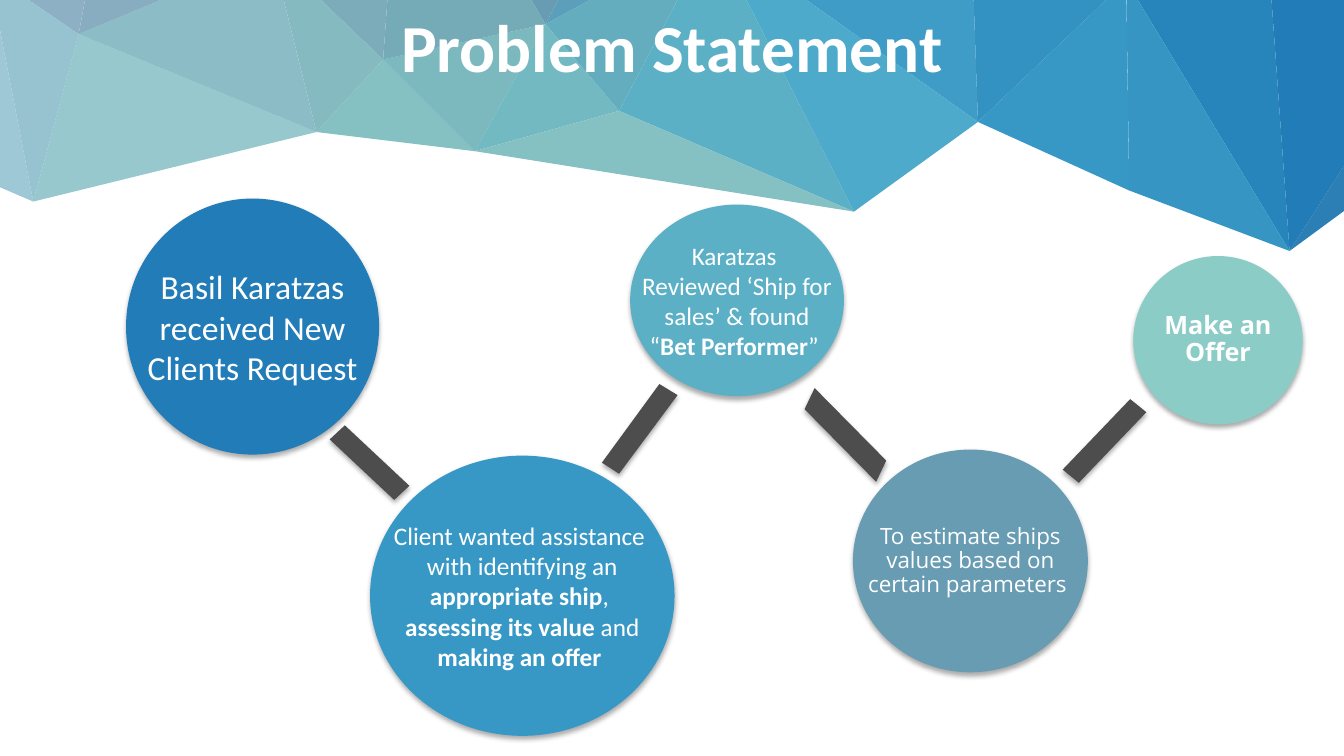
from lxml import etree
from pptx import Presentation
from pptx import util as u
from pptx.dml.color import RGBColor
from pptx.enum import shapes, text
from pptx.oxml import ns

# Corners shared by neighbouring facets of the banner
CORNERS = {
    "A": (4.71, 1.5), "B": (3.8, 0.59), "C": (3.14, 1.31), "D": (14.6, 1.16),
    "E": (14.39, -0.01), "F": (12.79, 2.49), "G": (12.54, -0.99),
    "H": (11.17, -0.19), "I": (11.2, 1.89), "J": (9.7, 1.21),
    "K": (9.63, -0.79), "L": (7.07, -0.66), "M": (8.47, 2.1),
    "N": (6.14, 1.1), "O": (6.67, -2.1), "P": (5.41, 0.24),
    "Q": (4, -2.18), "R": (2.7, -0.46), "S": (0.78, 0.34), "T": (0.33, 2),
    "U": (1.29, -2.39), "V": (-0.11, -0.27), "W": (-1.44, 1.24),
}
FACETS = [
    ("ABC", "85C0C3"), ("DEF", "2C7FB5"), ("EGF", "227CB7"),
    ("FGH", "2785BB"), ("FHI", "3695C3"), ("IHJ", "3898C5"),
    ("HKJ", "3392C1"), ("JKL", "3F9CC6"), ("JLM", "4DAACB"),
    ("MLN", "5BB0C6"), ("LOP", "5C9FBA"), ("LPN", "63ADBF"),
    ("OQP", "679CB3"), ("NPA", "73B9C1"), ("PBA", "7BB9BE"),
    ("PQB", "75ABB7"), ("QRB", "7CABB9"), ("BRC", "85BAC1"),
    ("CST", "97C8CE"), ("CRS", "8CBCC5"), ("RUS", "88ADC1"),
    ("UVS", "8DB0C5"), ("TVW", "9EC8D5"), ("SVT", "97C3D0"),
    ("MAN", "85C0C3"),
]

# Steps: box, fill, text format, paragraphs of (text, bold) runs
STEPS = [
    ((1.25, 1.97, 2.51, 2.54), "227CB7", dict(size=24),
     [[("Basil Karatzas\vreceived New\vClients Request", False)]]),
    ((3.67, 4.52, 3.02, 2.78), "3898C5", dict(size=18),
     [[("Client wanted assistance ", False)],
      [("with identifying an\v", False), ("appropriate ship", True), (", ", False)],
      [("assessing its value", True), (" and\v", False), ("making an offer ", True)]]),
    ((6.25, 2.03, 2.12, 1.9), "5BB0C6", dict(size=18),
     [[("Karatzas ", False)],
      [("Reviewed ‘Ship for\vsales’ & found", False)],
      [("“", False), ("Bet Performer", True), ("” ", False)]]),
    ((8.46, 4.46, 2.33, 2.21), "679CB3",
     dict(size=16, font="Open Sans", spacing=0.9),
     [[("To estimate ships\vvalues based on\vcertain parameters ", False)]]),
    ((11.24, 2.54, 1.68, 1.67), "8BCCC6",
     dict(size=18, font="Open Sans", spacing=0.9),
     [[("Make an\vOffer", True)]]),
]

# Bars between consecutive steps
LINKS = [
    [(4.06, 4.82), (3.42, 4.22), (3.27, 4.36), (3.91, 4.96)],
    [(6.54, 3.81), (5.97, 4.59), (6.14, 4.7), (6.72, 3.92)],
    [(8.79, 4.57), (8.08, 3.85), (7.98, 4.06), (8.69, 4.78)],
    [(11.21, 3.96), (10.54, 4.66), (10.7, 4.79), (11.37, 4.09)],
]


def rgb(value):
    return RGBColor.from_string(value)


def write(tf, paragraphs, size=18, font="Calibri", color="FFFFFF", spacing=1.0):
    """Fill a text frame with centred paragraphs of (text, bold) runs."""
    for i, runs in enumerate(paragraphs):
        p = tf.paragraphs[0] if i == 0 else tf.add_paragraph()
        p.alignment = text.PP_ALIGN.CENTER
        p.line_spacing = spacing
        for content, bold in runs:
            for j, line in enumerate(content.split("\v")):
                if j:
                    p.add_line_break()
                if line:
                    r = p.add_run()
                    r.text = line
                    r.font.size = u.Pt(size)
                    r.font.name = font
                    r.font.bold = bold
                    r.font.color.rgb = rgb(color)


class Deck:
    link_color = "4D4D4D"

    def __init__(self, width, height):
        self.prs = Presentation()
        self.prs.slide_width = u.Inches(width)
        self.prs.slide_height = u.Inches(height)
        self.s = self.prs.slides.add_slide(self.prs.slide_layouts[6])

    def paint(self, sp, fill, shadow=False):
        sp.fill.solid()
        sp.fill.fore_color.rgb = rgb(fill)
        sp.line.fill.background()
        sp.shadow.inherit = False
        if shadow:
            effects = sp._element.spPr.find(ns.qn("a:effectLst"))
            outer = etree.SubElement(
                effects, ns.qn("a:outerShdw"), blurRad=str(u.Pt(3.5)),
                dist=str(u.Pt(2.2)), dir="5400000", rotWithShape="0")
            clr = etree.SubElement(outer, ns.qn("a:srgbClr"), val="000000")
            etree.SubElement(clr, ns.qn("a:alpha"), val="32000")

    def polygon(self, points, fill, shadow=False):
        pts = [(u.Inches(x), u.Inches(y)) for x, y in points]
        builder = self.s.shapes.build_freeform(*pts[0])
        builder.add_line_segments(pts[1:], close=True)
        self.paint(builder.convert_to_shape(), fill, shadow)

    def circle(self, box, fill, paragraphs, **fmt):
        sp = self.s.shapes.add_shape(
            shapes.MSO_SHAPE.OVAL, *(u.Inches(v) for v in box))
        self.paint(sp, fill, shadow=True)
        tf = sp.text_frame
        tf.word_wrap = False
        tf.vertical_anchor = text.MSO_ANCHOR.MIDDLE
        write(tf, paragraphs, **fmt)

    def title(self, box, content):
        sp = self.s.shapes.add_textbox(*(u.Inches(v) for v in box))
        sp.text_frame.word_wrap = True
        write(sp.text_frame, [[(content, True)]], size=48)


def main():
    deck = Deck(13.33, 7.5)

    # Faceted banner and title
    for corners, fill in FACETS:
        deck.polygon([CORNERS[c] for c in corners], fill)
    deck.title((1.93, 0, 9.47, 0.91), "Problem Statement")

    # Steps and the bars between them
    for box, fill, fmt, paragraphs in STEPS:
        deck.circle(box, fill, paragraphs, **fmt)
    for points in LINKS:
        deck.polygon(points, deck.link_color, shadow=True)

    deck.prs.save("out.pptx")


if __name__ == "__main__":
    main()
